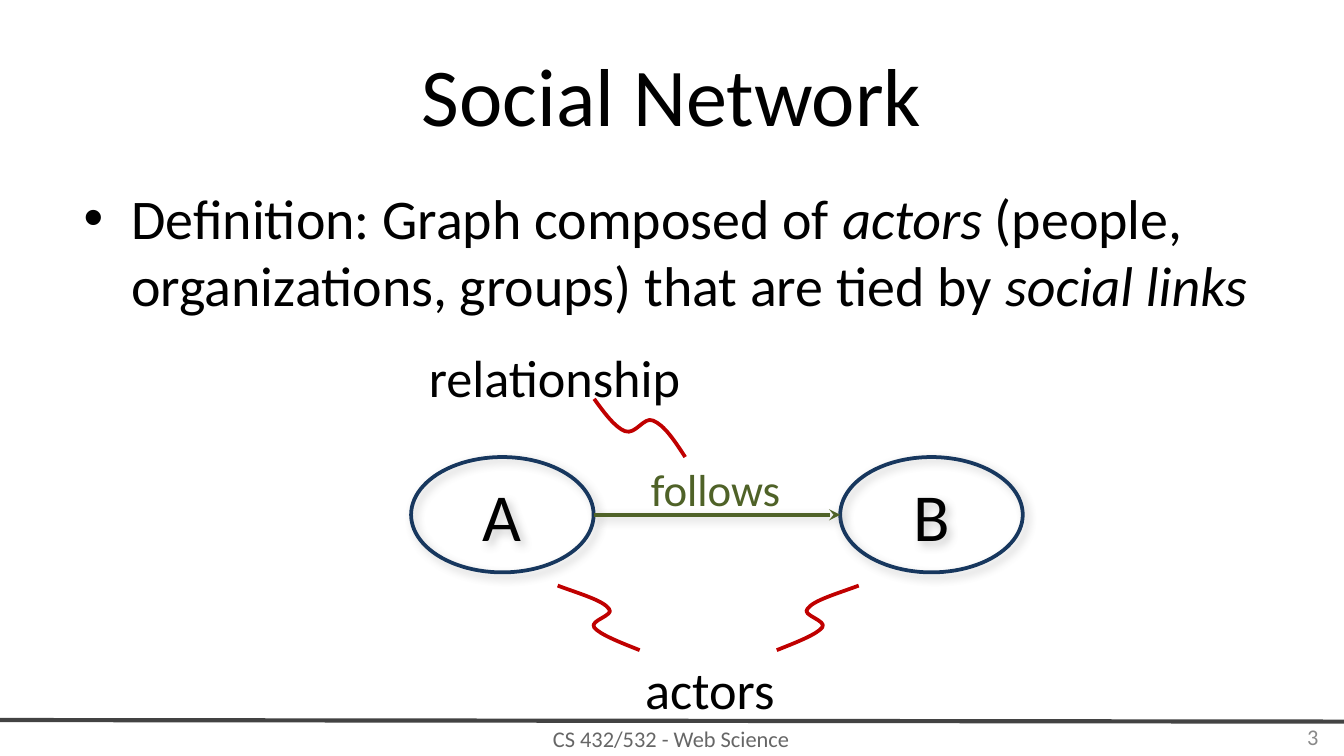
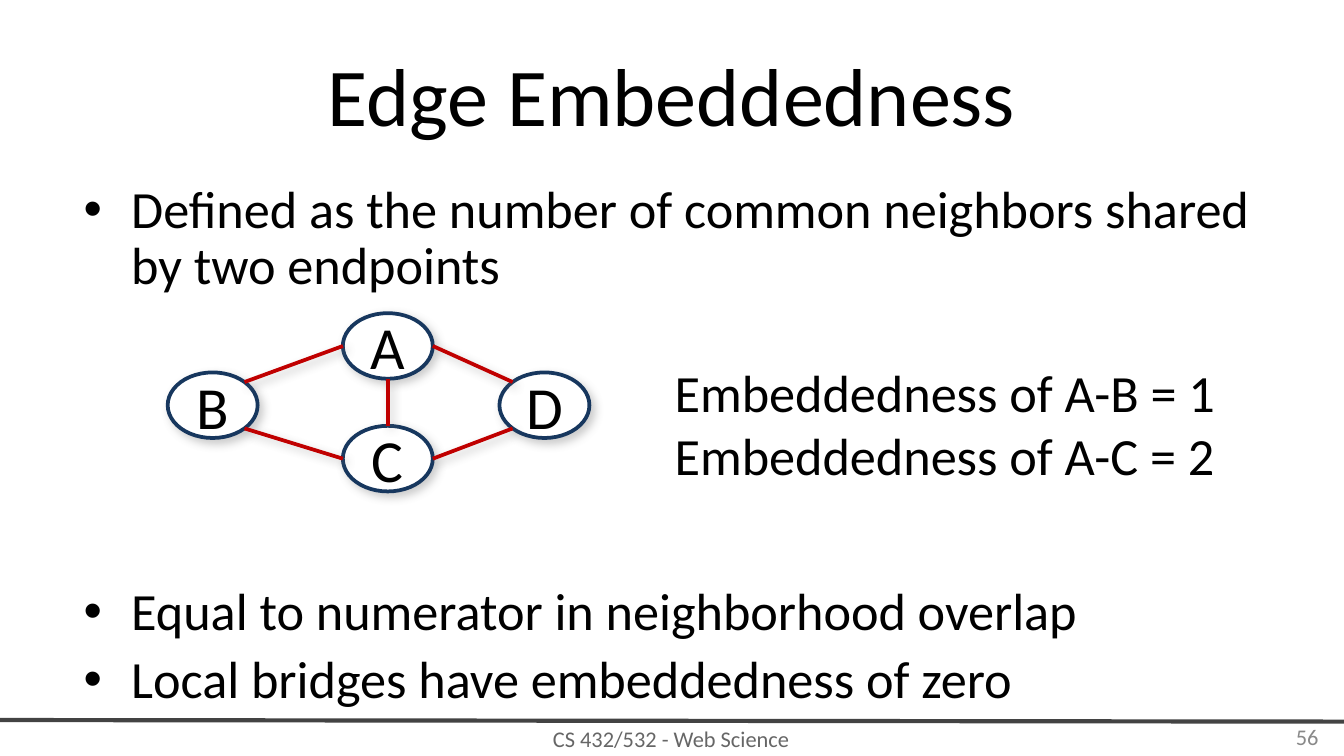
from math import cos, radians, sin

from lxml.etree import SubElement
from pptx import Presentation
from pptx.dml.color import RGBColor
from pptx.enum.shapes import MSO_CONNECTOR, MSO_SHAPE
from pptx.enum.text import MSO_ANCHOR, MSO_AUTO_SIZE, PP_ALIGN
from pptx.oxml.ns import qn
from pptx.util import Cm, Pt

FONT = "Calibri"
BLACK, WHITE, NAVY, RED, GREEN = "000000", "FFFFFF", "17375E", "C00000", "4F6228"
RULE, FOOTER, NUMBER = "434343", "666666", "898989"
LEFT, CENTER, RIGHT = PP_ALIGN.LEFT, PP_ALIGN.CENTER, PP_ALIGN.RIGHT


# Shared helpers
def color(value):
    return RGBColor.from_string(value)


def cm(*lengths):
    return [Cm(length) for length in lengths]


def place(shape, left, top, width, height):
    shape.left, shape.top, shape.width, shape.height = cm(left, top, width, height)


def set_line(shape, line_color, width=2):
    shape.line.color.rgb = color(line_color)
    shape.line.width = Pt(width)


def set_font(para, size, font_color):
    for span in para.runs:
        span.font.name = FONT
        span.font.size = Pt(size)
        span.font.color.rgb = color(font_color)


def set_frame(frame, anchor):
    frame.word_wrap = True
    frame.auto_size = MSO_AUTO_SIZE.NONE
    frame.vertical_anchor = anchor
    frame.margin_left, frame.margin_right = cm(0.25, 0.25)
    frame.margin_top, frame.margin_bottom = cm(0.13, 0.13)


def write(shape, text, size, font_color=BLACK, align=CENTER, anchor=MSO_ANCHOR.TOP):
    frame = shape.text_frame
    set_frame(frame, anchor)
    frame.text = text
    for para in frame.paragraphs:
        para.alignment = align
        set_font(para, size, font_color)


def set_shadow(shape, visible=True):
    properties = shape._element.spPr
    effects = properties.find(qn("a:effectLst"))
    if effects is None:
        effects = SubElement(properties, qn("a:effectLst"))
    if visible:
        shadow = SubElement(effects, qn("a:outerShdw"), blurRad=str(Pt(5)),
                            dist=str(Pt(3)), dir="2700000", algn="tl", rotWithShape="0")
        tone = SubElement(shadow, qn("a:srgbClr"), val="808080")
        SubElement(tone, qn("a:alpha"), val="40000")


# Text elements
def add_label(page, text, bounds, size, font_color=BLACK, align=CENTER,
              anchor=MSO_ANCHOR.TOP):
    box = page.shapes.add_textbox(*cm(*bounds))
    write(box, text, size, font_color, align, anchor)


def add_bullet_mark(para):
    properties = para._p.get_or_add_pPr()
    properties.set("marL", str(Cm(0.96)))
    properties.set("indent", str(-Cm(0.9)))
    tint = SubElement(properties, qn("a:buClr"))
    SubElement(tint, qn("a:srgbClr"), val=BLACK)
    SubElement(properties, qn("a:buFont"), typeface="Arial")
    SubElement(properties, qn("a:buChar"), char="•")


def add_bullets(page, items, height, size, line_spacing=1.0):
    """Each item is its space before in points and a list of (text, italic) spans."""
    body = page.placeholders[1]
    place(body, 1.27, 3.33, 22.86, height)
    frame = body.text_frame
    set_frame(frame, MSO_ANCHOR.TOP)
    for index, (space, spans) in enumerate(items):
        para = frame.add_paragraph() if index else frame.paragraphs[0]
        add_bullet_mark(para)
        para.alignment = LEFT
        para.line_spacing = line_spacing
        para.space_before = Pt(space)
        for text, italic in spans:
            span = para.add_run()
            span.text = text
            span.font.italic = italic
        set_font(para, size, BLACK)


# Drawing elements
def add_node(page, name, left, top, width, height, size, filled=False):
    node = page.shapes.add_shape(MSO_SHAPE.OVAL, *cm(left, top, width, height))
    if filled:
        node.fill.solid()
        node.fill.fore_color.rgb = color(WHITE)
    else:
        node.fill.background()
    set_line(node, NAVY)
    node.shadow.inherit = False
    set_shadow(node)
    write(node, name, size, anchor=MSO_ANCHOR.MIDDLE)
    return node


def rim(node, angle):
    """Point on the node's outline, clockwise in degrees from its right end."""
    turn = radians(angle)
    return (round(node.left + node.width / 2 * (1 + cos(turn))),
            round(node.top + node.height / 2 * (1 + sin(turn))))


def add_line(page, start, end, line_color, width=2, shadow=True, arrow=False):
    line = page.shapes.add_connector(MSO_CONNECTOR.STRAIGHT, *start, *end)
    set_line(line, line_color, width)
    if arrow:
        SubElement(line.line._get_or_add_ln(), qn("a:tailEnd"), type="stealth")
    set_shadow(line, shadow)


def add_squiggle(page, points):
    """Red curve through a start point and three points per Bézier segment."""
    start, *rest = [cm(*point) for point in points]
    builder = page.shapes.build_freeform(*start)
    builder.add_line_segments(rest, close=False)
    squiggle = builder.convert_to_shape()
    squiggle.fill.background()
    set_line(squiggle, RED)
    squiggle.shadow.inherit = False
    steps = list(squiggle._element.iter(qn("a:lnTo")))
    for first in range(0, len(steps), 3):
        curve = SubElement(steps[first].getparent(), qn("a:cubicBezTo"))
        for step in steps[first:first + 3]:
            curve.append(step[0])
            step.getparent().remove(step)


# Slide frame: title, footer rule, course name and slide number
def add_page(deck, title, number):
    page = deck.slides.add_slide(deck.slide_layouts[1])
    place(page.shapes.title, 1.27, 0.58, 22.86, 2.39)
    write(page.shapes.title, title, 44, anchor=MSO_ANCHOR.MIDDLE)
    add_label(page, "CS 432/532 - Web Science", (4.62, 13.64, 16.13, 0.66), 12,
              FOOTER, anchor=MSO_ANCHOR.MIDDLE)
    add_line(page, cm(0, 13.61), cm(25.4, 13.64), RULE, 2.25, shadow=False)
    add_label(page, number, (19.25, 13.54, 5.92, 0.76), 12, NUMBER, RIGHT,
              MSO_ANCHOR.MIDDLE)
    return page


def add_social_network(deck):
    page = add_page(deck, "Social Network", "3")
    add_bullets(page, [(0, [
        ("Definition: Graph composed of ", False), ("actors", True),
        (" (people, organizations, groups) that are tied by ", False),
        ("social links", True)])], 3.07, 30)

    # Two actors and the link between them
    follower, followed = [add_node(page, name, left, 8.64, 3.45, 2.18, 36)
                          for name, left in (("A", 7.77), ("B", 15.88))]
    add_line(page, rim(follower, 0), rim(followed, 180), GREEN, arrow=True)
    add_label(page, "follows", (11.66, 8.59, 3.73, 0.97), 24, GREEN)

    # Captions with their pointers
    add_squiggle(page, [(11.23, 7.54), (11.43, 7.82), (11.63, 8.08), (11.81, 8.15),
                        (12.01, 8.23), (12.17, 7.87), (12.34, 7.95),
                        (12.55, 8.03), (12.75, 8.33), (12.95, 8.64)])
    add_label(page, "actors", (11.66, 12.29, 3.51, 1.09), 28)
    add_label(page, "relationship", (7.62, 6.4, 5.72, 1.09), 28)
    to_follower = [(12.09, 12.29), (11.71, 12.14), (11.33, 11.99), (11.23, 11.86),
                   (11.13, 11.73), (11.63, 11.63), (11.51, 11.51),
                   (11.4, 11.35), (10.97, 11.23), (10.54, 11.07)]
    add_squiggle(page, to_follower)
    add_squiggle(page, [(26.77 - x, y) for x, y in to_follower])


def add_edge_embeddedness(deck):
    page = add_page(deck, "Edge Embeddedness", "56")
    # The second bullet leaves room for the graph
    add_bullets(page, [
        (0, [("Defined as the number of common neighbors shared by two endpoints", False)]),
        (155, [("Equal to numerator in neighborhood overlap", False)]),
        (6.4, [("Local bridges have embeddedness of zero", False)]),
    ], 9.9, 28, 0.9)

    # Graph: each edge names its two nodes and the angles where it meets them
    corners = {"A": (6.48, 5.92), "C": (6.48, 8.05), "B": (3.17, 7.04), "D": (9.44, 7.04)}
    nodes = {name: add_node(page, name, *corner, 1.7, 1.24, 32, filled=True)
             for name, corner in corners.items()}
    for start, start_angle, end, end_angle in (
            ("C", 180, "B", 45), ("D", 135, "C", 0), ("A", 180, "B", -45),
            ("D", -135, "A", 0), ("C", -90, "A", 90)):
        add_line(page, rim(nodes[start], start_angle), rim(nodes[end], end_angle), RED)

    add_label(page, "Embeddedness of A-B = 1\nEmbeddedness of A-C = 2",
              (12.5, 6.68, 11, 1.98), 28, align=LEFT)


def main():
    deck = Presentation()
    deck.slide_width, deck.slide_height = cm(25.4, 14.29)
    add_social_network(deck)
    add_edge_embeddedness(deck)
    deck.save("out.pptx")


if __name__ == "__main__":
    main()
